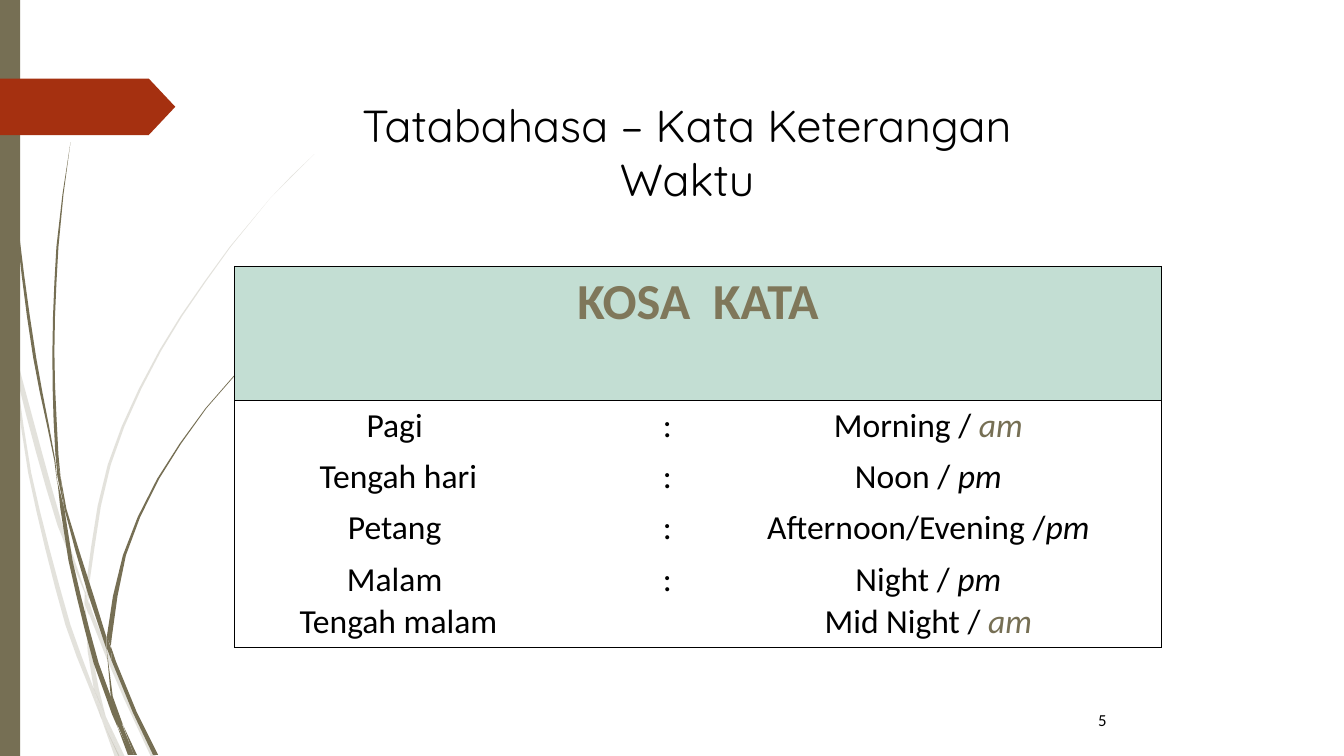
from lxml.etree import SubElement
from pptx import Presentation
from pptx.dml.color import RGBColor
from pptx.enum.shapes import MSO_SHAPE
from pptx.enum.text import MSO_ANCHOR, PP_ALIGN
from pptx.oxml.ns import qn
from pptx.util import Pt

PX = 9144  # 100 px to the inch
STRIDE = 40  # px of height between points of a smooth edge
COLORS = {"olive": "766F54", "rust": "A53010", "mint": "C3DED3",
          "head": "7F775A", "ink": "000000"}

# Each blade is a list of slices from top to bottom: left x, right x, y
PALE = [
    [(0, 0, 282), (0, 3, 299), (5, 8, 322), (11, 11, 350)],
    [(14, 14, 345), (17, 22, 376), (57, 62, 521), (84, 85, 588), (84, 84, 599)],
    [(88, 88, 596), (88, 92, 608), (123, 127, 693), (150, 155, 751)],
    [(105, 105, 711), (119, 124, 751)],
    [(11, 11, 350), (15, 17, 376), (28, 31, 469), (65, 70, 620),
     (89, 93, 683), (101, 101, 714)],
    [(84, 84, 599), (87, 91, 646), (93, 98, 683), (105, 105, 711)],
    [(312, 312, 153), (289, 290, 175), (268, 268, 197), (228, 229, 245),
     (158, 160, 348), (107, 110, 461), (85, 88, 584), (88, 88, 596)],
    [(101, 101, 714), (114, 119, 751)],
    [(85, 85, 586), (84, 88, 599), (88, 88, 610)],
    [(93, 93, 683), (96, 98, 694), (100, 105, 711), (118, 119, 751)],
]
DARK = [
    [(3, 3, 0), (3, 5, 48), (7, 8, 109), (17, 19, 232), (33, 36, 355),
     (54, 55, 457), (57, 57, 481)],
    [(60, 60, 472), (64, 66, 505), (88, 93, 591), (102, 106, 633),
     (106, 106, 645)],
    [(110, 110, 641), (111, 115, 656), (132, 136, 707), (152, 157, 749)],
    [(57, 57, 477), (60, 64, 505), (68, 72, 556), (93, 98, 658),
     (105, 110, 691), (111, 115, 708), (117, 117, 722)],
    [(70, 70, 141), (62, 63, 193), (56, 58, 245), (52, 54, 349),
     (55, 58, 451), (60, 60, 472)],
    [(122, 122, 719), (133, 136, 749)],
    [(55, 55, 449), (57, 60, 473), (64, 64, 505)],
    [(260, 261, 344), (231, 232, 374), (204, 205, 405), (156, 158, 475),
     (122, 125, 551), (106, 111, 632), (110, 110, 641)],
    [(117, 117, 722), (127, 131, 749)],
    [(106, 106, 645), (110, 112, 691), (116, 121, 716), (122, 122, 719)],
    [(106, 106, 631), (106, 110, 643), (111, 111, 656)],
    [(110, 110, 691), (116, 121, 718), (130, 133, 749)],
]

COLS = [297, 147, 476]
ROWS = [133, 51, 51, 51, 92]
INDENT = [28, 0, 13]
ALIGN = [PP_ALIGN.CENTER, PP_ALIGN.RIGHT, PP_ALIGN.CENTER]
# Each word row: Malay lines, then English lines with their time of day
WORDS = [
    (["Pagi "], [("Morning / ", "am")]),
    (["Tengah hari"], [("Noon / ", "pm")]),
    (["Petang "], [("Afternoon/Evening /", "pm")]),
    (["Malam ", "Tengah malam"], [("Night / ", "pm"), ("Mid Night / ", "am")]),
]


def px(*sizes):
    return [round(size * PX) for size in sizes]


def paint(shape, color):
    shape.shadow.inherit = False
    shape.fill.solid()
    shape.fill.fore_color.rgb = RGBColor.from_string(COLORS[color])
    shape.line.fill.background()


def smooth(edge):
    """Pass a Hermite curve, x as a function of y, through (x, y) points."""
    ends = [edge[0]] + edge + [edge[-1]]
    slopes = [(c[0] - a[0]) / (c[1] - a[1]) for a, c in zip(ends, ends[2:])]
    curve = []
    for (x, y), (x2, y2), m, m2 in zip(edge, edge[1:], slopes, slopes[1:]):
        high = y2 - y
        count = max(1, round(high / STRIDE))
        for step in range(count):
            t = step / count
            ease = t * t * (3 - 2 * t)
            bend = m * t * (1 - t) ** 2 - m2 * t * t * (1 - t)
            curve.append((x + (x2 - x) * ease + high * bend, y + high * t))
    return curve + [edge[-1]]


def add_blade(slide, rows, alpha=None):
    left = smooth([(x, y) for x, _, y in rows])
    right = smooth([(x, y) for _, x, y in rows])
    edge = [px(*point) for point in left + right[::-1]]
    path = slide.shapes.build_freeform(*edge[0], scale=1.0)
    path.add_line_segments(edge[1:], close=True)
    blade = path.convert_to_shape()
    paint(blade, "olive")
    if alpha:
        tint = blade.fill._xPr.find(".//" + qn("a:srgbClr"))
        SubElement(tint, qn("a:alpha")).set("val", str(alpha * 1000))


def add_block(slide, kind, box, color):
    block = slide.shapes.add_shape(kind, *px(*box))
    paint(block, color)
    return block


def add_run(para, text, size, color="ink", font="Calibri", bold=False, italic=False):
    run = para.add_run()
    run.text = text
    run.font.size = Pt(size)
    run.font.name = font
    run.font.bold = bold
    run.font.italic = italic
    run.font.color.rgb = RGBColor.from_string(COLORS[color])


def add_label(slide, box, insets, text, size, font, align):
    frame = slide.shapes.add_textbox(*px(*box)).text_frame
    frame.word_wrap = True
    frame.vertical_anchor = MSO_ANCHOR.TOP
    (frame.margin_left, frame.margin_top,
     frame.margin_right, frame.margin_bottom) = px(*insets)
    para = frame.paragraphs[0]
    para.alignment = align
    add_run(para, text, size, font=font)


def set_edges(cell, shown):
    """Draw the named sides (of L, R, T, B) and clear the others."""
    props = cell._tc.get_or_add_tcPr()
    for side in "LRTB":
        line = SubElement(props, qn("a:ln" + side))
        line.set("w", str(Pt(0.45)))
        if side in shown:
            fill = SubElement(line, qn("a:solidFill"))
            SubElement(fill, qn("a:srgbClr")).set("val", COLORS["ink"])
        else:
            SubElement(line, qn("a:noFill"))


def fill_cell(cell, lines, align):
    """Write lines, each a list of (text, font options) runs."""
    frame = cell.text_frame
    for i, runs in enumerate(lines):
        para = frame.add_paragraph() if i else frame.paragraphs[0]
        para.alignment = align
        if i:
            para.space_before = Pt(0.6)
        for text, style in runs:
            add_run(para, text, **style)


def add_words(slide):
    box = px(233, 264, sum(COLS), sum(ROWS))
    grid = slide.shapes.add_table(len(ROWS), len(COLS), *box).table
    grid.first_row = grid.horz_banding = False
    for col, width in zip(grid.columns, px(*COLS)):
        col.width = width
    for row, height in zip(grid.rows, px(*ROWS)):
        row.height = height
    last = len(ROWS) - 1
    for r in range(len(ROWS)):
        for c in range(len(COLS)):
            cell = grid.cell(r, c)
            shown = {"L": c == 0 or r == 0, "R": c == 2 or r == 0,
                     "T": r <= 1, "B": r in (0, last)}
            set_edges(cell, [side for side in shown if shown[side]])
            cell.fill.background()
    head = grid.cell(0, 0)
    head.merge(grid.cell(0, 2))
    head.fill.solid()
    head.fill.fore_color.rgb = RGBColor.from_string(COLORS["mint"])
    title = {"size": 36, "color": "head", "bold": True}
    fill_cell(head, [[("KOSA  KATA", title)]], PP_ALIGN.CENTER)

    plain = {"size": 24}
    hours = {"am": {"size": 24, "color": "olive", "italic": True},
             "pm": {"size": 24, "italic": True}}
    for r, (malay, english) in enumerate(WORDS, 1):
        texts = [[[(word, plain)] for word in malay],
                 [[(":", plain)]],
                 [[(word, plain), (hour, hours[hour])] for word, hour in english]]
        for c, lines in enumerate(texts):
            cell = grid.cell(r, c)
            cell.margin_left = px(10 + INDENT[c])[0]
            fill_cell(cell, lines, ALIGN[c])


def main():
    deck = Presentation()
    deck.slide_width, deck.slide_height = px(1334, 750)
    slide = deck.slides.add_slide(deck.slide_layouts[6])
    for rows in PALE:
        add_blade(slide, rows, alpha=20)
    for rows in DARK:
        add_blade(slide, rows)
    add_block(slide, MSO_SHAPE.RECTANGLE, (0, 0, 20, 750), "olive")
    arrow = add_block(slide, MSO_SHAPE.PENTAGON, (0, 78, 174, 56), "rust")
    arrow.adjustments[0] = 0.47
    add_label(slide, (1086, 703, 42, 21), (4, 1, 0, 0), "5", 12,
              "Calibri", PP_ALIGN.LEFT)
    add_label(slide, (305, 96, 754, 112), (10, 1, 10, 5),
              "Tatabahasa – Kata Keterangan Waktu", 32, "Quicksand",
              PP_ALIGN.CENTER)
    add_words(slide)
    deck.save("out.pptx")


if __name__ == "__main__":
    main()
